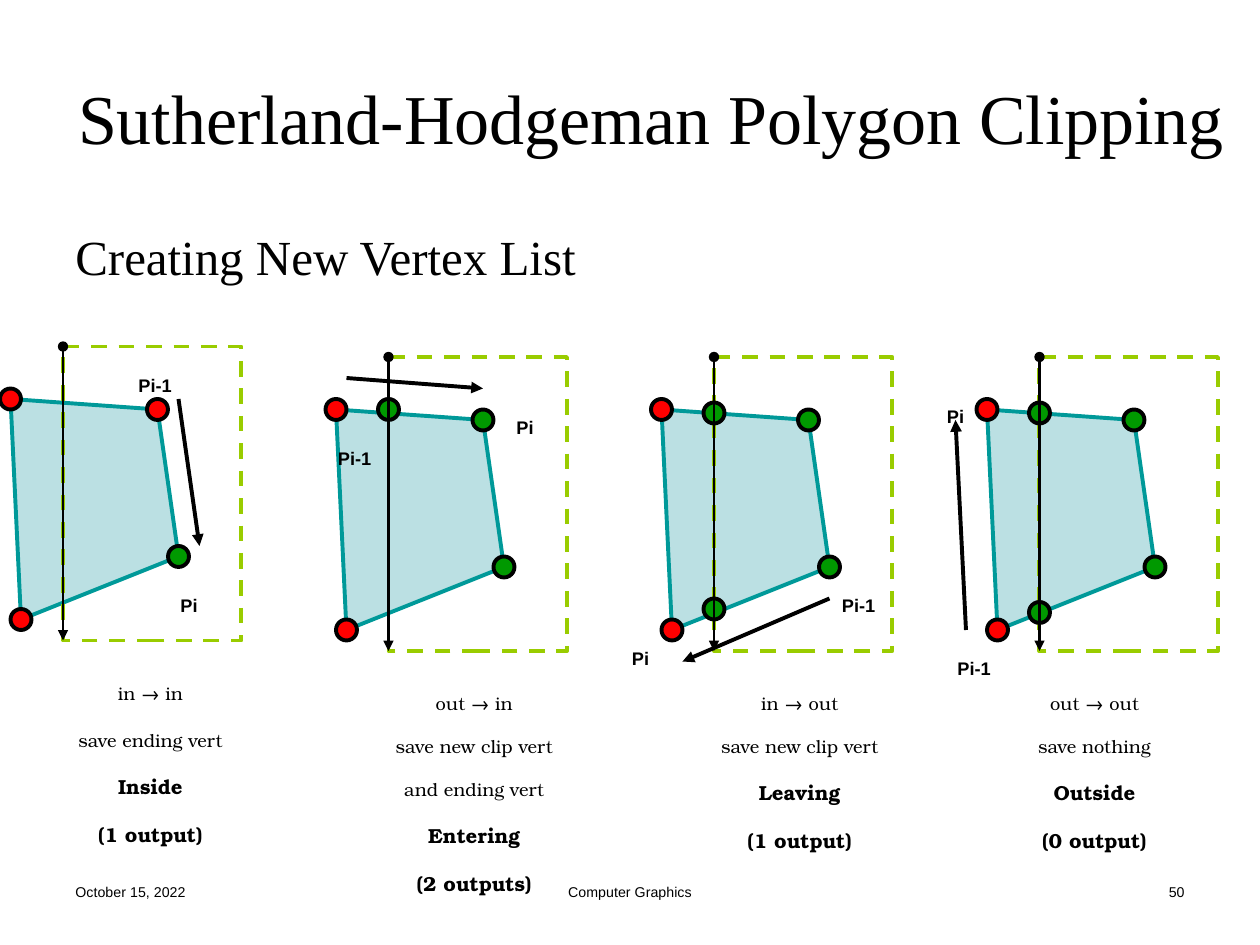
from lxml import etree
from pptx import Presentation
from pptx.dml.color import RGBColor
from pptx.enum.dml import MSO_LINE
from pptx.enum.shapes import MSO_CONNECTOR, MSO_SHAPE
from pptx.enum.text import MSO_ANCHOR, MSO_AUTO_SIZE, PP_ALIGN
from pptx.oxml.ns import qn
from pptx.util import Pt

BLACK = RGBColor(0x00, 0x00, 0x00)
RED = RGBColor(0xFF, 0x00, 0x00)
GREEN = RGBColor(0x00, 0x99, 0x00)
TEAL = RGBColor(0x00, 0x99, 0x99)
PALE_TEAL = RGBColor(0xBB, 0xE0, 0xE3)
LIME = RGBColor(0x99, 0xCC, 0x00)

LEFT, CENTER, RIGHT = PP_ALIGN.LEFT, PP_ALIGN.CENTER, PP_ALIGN.RIGHT
TITLE = {"name": "Times New Roman", "size": Pt(40)}
SUBTITLE = {"name": "Times New Roman", "size": Pt(28)}
FOOTER = {"name": "Arial", "size": Pt(14)}
LABEL = {"name": "Arial", "size": Pt(18), "bold": True}
ACTION = {"name": "TeX Gyre Bonum", "size": Pt(18)}
OUTCOME = {"name": "TeX Gyre Bonum", "size": Pt(20), "bold": True}

presentation = Presentation()
presentation.slide_width, presentation.slide_height = Pt(720), Pt(540)
slide = presentation.slides.add_slide(presentation.slide_layouts[6])
shapes = slide.shapes


def add_text(left, top, width, height, lines, align=LEFT, wrap=True, lowered=True):
    box = shapes.add_textbox(Pt(left), Pt(top), Pt(width), Pt(height))
    frame = box.text_frame
    frame.word_wrap = wrap
    if not wrap:
        frame.auto_size = MSO_AUTO_SIZE.SHAPE_TO_FIT_TEXT
    for index, (text, style) in enumerate(lines):
        paragraph = frame.paragraphs[0] if index == 0 else frame.add_paragraph()
        paragraph.alignment = align
        run = paragraph.add_run()
        run.text = text
        run.font.color.rgb = BLACK
        for key, value in style.items():
            setattr(run.font, key, value)
        if lowered:
            run._r.get_or_add_rPr().set("baseline", "-25000")
    return frame


def add_arrow(start, end, weight, ends):
    arrow = shapes.add_connector(MSO_CONNECTOR.STRAIGHT, *map(Pt, start + end))
    arrow.line.color.rgb = BLACK
    arrow.line.width = Pt(weight)
    outline = arrow.line._get_or_add_ln()
    for tag, kind in ends.items():
        etree.SubElement(outline, qn(tag), type=kind)
    etree.SubElement(arrow._element.spPr, qn("a:effectLst"))


add_text(36, 492, 168, 37.5, [("October 15, 2022", FOOTER)])
add_text(246, 492, 228, 37.5, [("Computer Graphics", FOOTER)], CENTER)
add_text(516, 492, 168, 37.5, [("50", FOOTER)], RIGHT)
title = add_text(36, 21.6, 672, 90, [("Sutherland-Hodgeman Polygon Clipping", TITLE)],
                 CENTER, lowered=False)
title.vertical_anchor = MSO_ANCHOR.MIDDLE
add_text(36, 126, 648, 48, [("Creating New Vertex List", SUBTITLE)], lowered=False)

FIRST_CLIP_LEFT, PANEL_STEP = 36, 186
CLIP_WIDTH, CLIP_HEIGHT, DOT = 102, 168, 12
POLYGON = [(-24, 156), (-30, 30), (54, 36), (66, 120)]

panels = [
    {"top": 198, "vertices": [RED, RED, RED, GREEN], "cuts": [],
     "arrow": ((66, 30), (78, 114)), "previous": (36, 0), "current": (60, 126),
     "caption": (-35, 170), "actions": ["in → in", "save ending vert"],
     "outcomes": ["Inside", "(1 output)"]},
    {"top": 204, "vertices": [RED, RED, GREEN, GREEN], "cuts": [30],
     "arrow": ((-24, 12), (54, 18)), "previous": (-36, 36), "current": (66, 18),
     "caption": (-36, 170), "actions": ["out → in", "save new clip vert", "and ending vert"],
     "outcomes": ["Entering", "(2 outputs)"]},
    {"top": 204, "vertices": [RED, RED, GREEN, GREEN], "cuts": [32, 144],
     "arrow": ((66, 138), (-18, 174)), "previous": (66, 120), "current": (-54, 150),
     "caption": (-36, 170), "actions": ["in → out", "save new clip vert"],
     "outcomes": ["Leaving", "(1 output)"]},
    {"top": 204, "vertices": [RED, RED, GREEN, GREEN], "cuts": [32, 146],
     "arrow": ((-42, 156), (-48, 36)), "previous": (-54, 156), "current": (-60, 12),
     "caption": (-32, 127), "actions": ["out → out", "save nothing"],
     "outcomes": ["Outside", "(0 output)"]},
]

for number, panel in enumerate(panels):
    left, top = FIRST_CLIP_LEFT + number * PANEL_STEP, panel["top"]
    corners = [(Pt(left + x), Pt(top + y)) for x, y in POLYGON]
    outline = shapes.build_freeform(*corners[0])
    outline.add_line_segments(corners[1:], close=True)
    polygon = outline.convert_to_shape()
    polygon.shadow.inherit = False
    polygon.fill.solid()
    polygon.fill.fore_color.rgb = PALE_TEAL
    polygon.line.color.rgb = TEAL
    polygon.line.width = Pt(2.25)

    window = shapes.add_shape(MSO_SHAPE.RECTANGLE, Pt(left), Pt(top),
                              Pt(CLIP_WIDTH), Pt(CLIP_HEIGHT))
    window.shadow.inherit = False
    window.fill.background()
    window.line.color.rgb = LIME
    window.line.width = Pt(2.25)
    window.line.dash_style = MSO_LINE.DASH

    dots = list(zip(POLYGON, panel["vertices"])) + [((0, y), GREEN) for y in panel["cuts"]]
    for (x, y), color in dots:
        dot = shapes.add_shape(MSO_SHAPE.OVAL, Pt(left + x - DOT / 2), Pt(top + y - DOT / 2),
                               Pt(DOT), Pt(DOT))
        dot.shadow.inherit = False
        dot.fill.solid()
        dot.fill.fore_color.rgb = color
        dot.line.color.rgb = BLACK
        dot.line.width = Pt(2.25)

    start, end = [(left + x, top + y) for x, y in panel["arrow"]]
    add_arrow(start, end, 2.25, {"a:tailEnd": "triangle"})
    add_arrow((left, top), (left, top + CLIP_HEIGHT), 1.5,
              {"a:headEnd": "oval", "a:tailEnd": "triangle"})

    for role, text, width in (("previous", "Pi-1", 40), ("current", "Pi", 29.5)):
        x, y = panel[role]
        add_text(left + x, top + y, width, 29, [(text, LABEL)], wrap=False)

    lines = [(text, ACTION) for text in panel["actions"]]
    lines += [(text, OUTCOME) for text in panel["outcomes"]]
    x, width = panel["caption"]
    caption = add_text(left + x, top + 176, width, 24 * len(lines), lines, CENTER, wrap=False)
    if number == 0:
        caption.paragraphs[1].space_before = Pt(2.5)

presentation.save("out.pptx")
